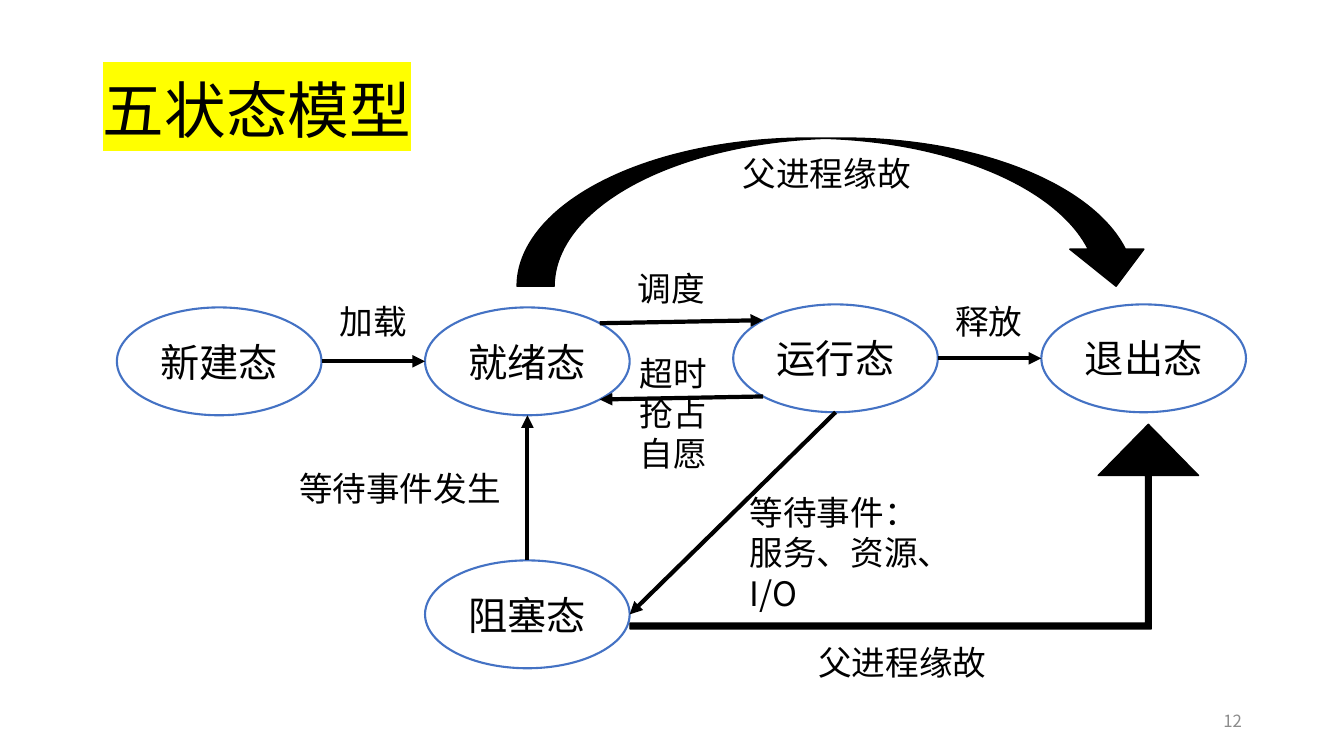
from math import sqrt
from lxml.etree import SubElement
from pptx import Presentation
from pptx.dml.color import RGBColor
from pptx.enum.shapes import MSO_CONNECTOR, MSO_SHAPE
from pptx.enum.text import MSO_ANCHOR, MSO_AUTO_SIZE, PP_ALIGN
from pptx.oxml.ns import qn
from pptx.util import Inches, Pt

BLACK = RGBColor(0, 0, 0)
WHITE = RGBColor(255, 255, 255)
BLUE = RGBColor(0x44, 0x72, 0xC4)
GRAY = RGBColor(0x8C, 0x8C, 0x8C)
FACE = "Noto Sans CJK SC"
WIDE, HIGH = 2.03, 1.07
LEFT, STEP = 1.16, 3.057
DIAG = 1 / sqrt(2)


def write(frame, text, size, align=PP_ALIGN.LEFT, color=BLACK, **frame_form):
    for key, value in frame_form.items():
        setattr(frame, key, value)
    frame.text = text
    for para in frame.paragraphs:
        para.alignment = align
        font = para.runs[0].font
        for key, value in {"size": Pt(size), "name": FACE}.items():
            setattr(font, key, value)
        font.color.rgb = color
        SubElement(para.runs[0]._r.rPr, qn("a:ea"), typeface=FACE)


def draw(kind, box, fill, line, weight):
    shape = shapes.add_shape(kind, *map(Inches, box))
    shape.shadow.inherit = False
    shape.fill.solid()
    shape.fill.fore_color.rgb = fill
    shape.line.color.rgb = line
    shape.line.width = Pt(weight)
    return shape


deck = Presentation()
deck.slide_width, deck.slide_height = Inches(13.333), Inches(7.5)
slide = deck.slides.add_slide(deck.slide_layouts[5])
shapes = slide.shapes

title = shapes.title
form = {"left": 0.92, "top": 0.4, "width": 11.5, "height": 1.45}
for key, value in form.items():
    setattr(title, key, Inches(value))
write(title.text_frame, "五状态模型", 44, vertical_anchor=MSO_ANCHOR.MIDDLE)
head = title.text_frame.paragraphs[0]
head.line_spacing = 0.9
props = head.runs[0]._r.rPr
mark = SubElement(props, qn("a:highlight"))
SubElement(mark, qn("a:srgbClr"), val="FFFF00")
props.find(qn("a:latin")).addprevious(mark)

states = {
    "新建态": (0, 3.05),
    "就绪态": (1, 3.05),
    "运行态": (2, 3.02),
    "退出态": (3, 3.02),
    "阻塞态": (1, 5.56),
}
for name, (col, top) in states.items():
    oval = draw(MSO_SHAPE.OVAL, (LEFT + col * STEP, top, WIDE, HIGH), WHITE, BLUE, 1.5)
    write(oval.text_frame, name, 28, PP_ALIGN.CENTER, vertical_anchor=MSO_ANCHOR.MIDDLE)

moves = [
    ("新建态", (1, 0), "就绪态", (-1, 0)),
    ("运行态", (1, 0), "退出态", (-1, 0)),
    ("就绪态", (DIAG, -DIAG), "运行态", (-DIAG, -DIAG)),
    ("运行态", (-DIAG, DIAG), "就绪态", (DIAG, DIAG)),
    ("阻塞态", (0, -1), "就绪态", (0, 1)),
    ("运行态", (0, 1), "阻塞态", (1, 0)),
]
for start, out, end, into in moves:
    ends = []
    for name, (across, down) in ((start, out), (end, into)):
        col, top = states[name]
        ends += [LEFT + col * STEP + WIDE / 2 * (1 + across), top + HIGH / 2 * (1 + down)]
    link = shapes.add_connector(MSO_CONNECTOR.STRAIGHT, *map(Inches, ends))
    link.line.color.rgb = BLACK
    link.line.width = Pt(3)
    SubElement(link.line._get_or_add_ln(), qn("a:tailEnd"), type="triangle")
    SubElement(link._element.spPr, qn("a:effectLst"))

draw(MSO_SHAPE.CURVED_DOWN_ARROW, (5.13, 1.37, 6.31, 1.47), BLACK, BLACK, 1)
bent = draw(MSO_SHAPE.BENT_UP_ARROW, (6.25, 4.21, 5.64, 2.03), BLACK, BLACK, 1)
for spot, value in enumerate((0.028, 0.245, 0.25)):
    bent.adjustments[spot] = value

labels = [
    ("加载", 3.27, 2.94, 0.87, 0.5, False),
    ("释放", 9.38, 2.94, 0.87, 0.5, False),
    ("调度", 6.23, 2.61, 0.87, 0.5, False),
    ("超时\n抢占\n自愿", 6.25, 3.45, 0.87, 1.31, False),
    ("等待事件：\n服务、资源、I/O", 7.34, 4.83, 2.4, 1.31, True),
    ("等待事件发生", 2.87, 4.59, 2.2, 0.5, False),
    ("父进程缘故", 7.27, 1.47, 1.87, 0.5, False),
    ("父进程缘故", 8.02, 6.32, 1.87, 0.5, False),
]
for text, *box, wrap in labels:
    label = shapes.add_textbox(*map(Inches, box))
    write(label.text_frame, text, 24, word_wrap=wrap, auto_size=MSO_AUTO_SIZE.SHAPE_TO_FIT_TEXT)

page = shapes.add_textbox(*map(Inches, (9.42, 6.95, 3, 0.4)))
write(page.text_frame, "12", 12, PP_ALIGN.RIGHT, GRAY, word_wrap=True, vertical_anchor=MSO_ANCHOR.MIDDLE)

deck.save("out.pptx")
